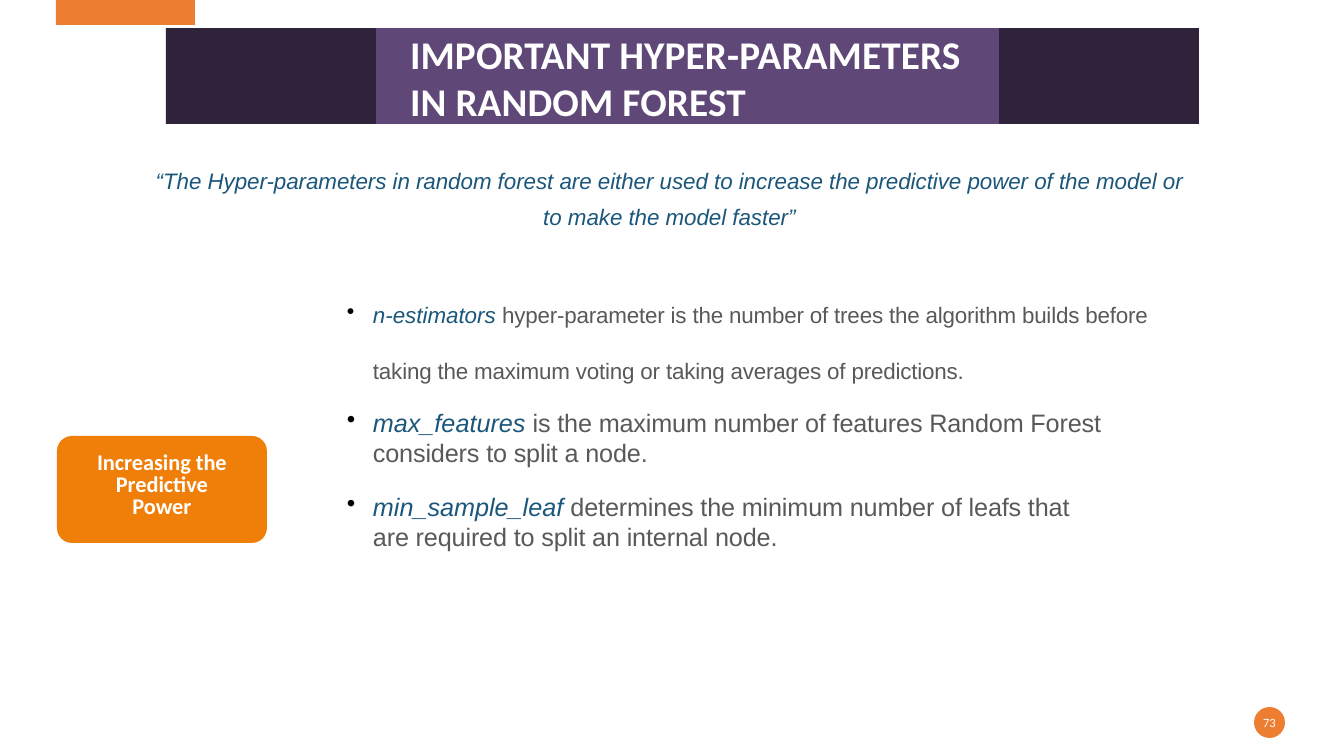
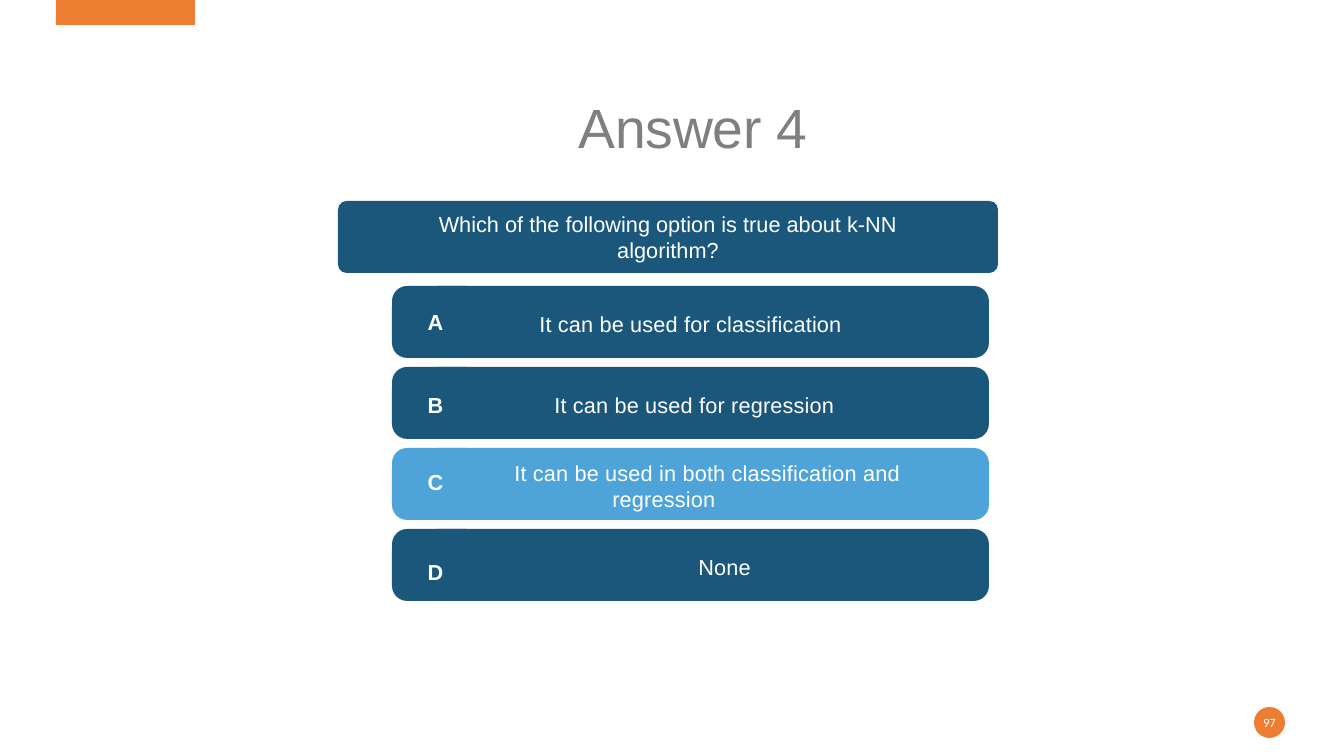
from lxml import etree
from pptx import Presentation
from pptx.dml.color import RGBColor
from pptx.enum.shapes import MSO_SHAPE
from pptx.enum.text import MSO_ANCHOR, PP_ALIGN
from pptx.oxml.ns import qn
from pptx.util import Emu, Pt

RECT, ROUND, OVAL = MSO_SHAPE.RECTANGLE, MSO_SHAPE.ROUNDED_RECTANGLE, MSO_SHAPE.OVAL
LEFT, CENTER = PP_ALIGN.LEFT, PP_ALIGN.CENTER
TOP, MIDDLE, BOTTOM = MSO_ANCHOR.TOP, MSO_ANCHOR.MIDDLE, MSO_ANCHOR.BOTTOM

SLIDE_W, SLIDE_H = 1344, 756
SCALE = 12192000 / SLIDE_W

ORANGE, AMBER = "ED7D31", "F07F09"
PLUM, PURPLE = "2F233B", "5F4778"
NAVY, SKY = "1B577B", "4EA4D8"
WHITE, BLACK, GREY, BODY_GREY = "FFFFFF", "000000", "7F7F7F", "595959"

PAGE_NUMBER = dict(name="Calibri", size=Pt(9), color=WHITE)
BANNER = dict(name="Calibri", size=Pt(28), bold=True, color=WHITE, spacing=15)
BADGE = dict(name="Calibri", size=Pt(16), bold=True, color=WHITE, spacing=-3)
QUOTE = dict(name="Arial", size=Pt(16), italic=True, color=NAVY, spacing=-4)
HEADING = dict(name="Arial", size=Pt(39.5), color=GREY, spacing=-25)
QUIZ = dict(name="Arial", size=Pt(15.5), color=WHITE, spacing=3)
OPTION = {**QUIZ, "spacing": 13}
LETTER = {**OPTION, "bold": True}


def px(length):
    """Turn a length in px into EMU."""
    return Emu(round(length * SCALE))


def rgb(value):
    """Turn a hex string into a colour."""
    return RGBColor.from_string(value)


def add_run(paragraph, text, style):
    """Add styled text, breaking lines at newlines."""
    for index, line in enumerate(text.split("\n")):
        if index:
            paragraph.add_line_break()
        run = paragraph.add_run()
        run.text = line
        for key, value in style.items():
            if key == "color":
                run.font.color.rgb = rgb(value)
            elif key == "spacing":
                run._r.get_or_add_rPr().set("spc", str(value))
            else:
                setattr(run.font, key, value)


def indent(paragraph, margin, first=0, bullet=None):
    """Indent a paragraph and give it an optional bullet."""
    props = paragraph._p.get_or_add_pPr()
    props.set("marL", str(px(margin)))
    props.set("indent", str(px(first)))
    if bullet:
        color = etree.SubElement(props, qn("a:buClr"))
        etree.SubElement(color, qn("a:srgbClr")).set("val", BLACK)
        etree.SubElement(props, qn("a:buChar")).set("char", bullet)


def write(shape, paragraphs, insets=(0, 0, 0, 0), anchor=MIDDLE, wrap=True):
    """Fill a shape with paragraphs of (runs, format, indents)."""
    frame = shape.text_frame
    sides = ("margin_left", "margin_top", "margin_right", "margin_bottom")
    settings = dict(zip(sides, map(px, insets)), word_wrap=wrap, vertical_anchor=anchor)
    for key, value in settings.items():
        setattr(frame, key, value)
    for index, (runs, layout, indents) in enumerate(paragraphs):
        paragraph = frame.add_paragraph() if index else frame.paragraphs[0]
        if indents:
            indent(paragraph, *indents)
        for key, value in layout.items():
            setattr(paragraph, key, value)
        for text, style in runs:
            add_run(paragraph, text, style)


def line_of(text, style, align=CENTER, indents=None, **layout):
    """Describe a paragraph in one style."""
    return [(text, style)], dict(alignment=align, **layout), indents


def block(slide, kind, box, fill, radius=0):
    """Draw a plain filled shape."""
    shape = slide.shapes.add_shape(kind, *map(px, box))
    shape.shadow.inherit = False
    shape.fill.solid()
    shape.fill.fore_color.rgb = rgb(fill)
    shape.line.fill.background()
    if radius:
        shape.adjustments[0] = round(radius / min(box[2:]), 2)
    return shape


def text_box(slide, box, paragraphs, wrap=True):
    """Place a text box with the usual margins."""
    shape = slide.shapes.add_textbox(*map(px, box))
    write(shape, paragraphs, (10, 5, 10, 5), TOP, wrap)


def new_slide(deck, number):
    """Add a slide with the corner tab and page number."""
    slide = deck.slides.add_slide(deck.slide_layouts[6])
    block(slide, RECT, (56, 0, 139, 25), ORANGE)
    disc = block(slide, OVAL, (1254, 707, 31, 31), ORANGE)
    write(disc, [line_of(number, PAGE_NUMBER)], wrap=False)
    return slide


def title_banner(slide, box, title):
    """Draw a dark band with a lighter title panel."""
    left, top, width, height = box
    block(slide, RECT, box, PLUM)
    panel = block(slide, RECT, (left + 210, top, width - 410, height), PURPLE)
    write(panel, [line_of(title, BANNER, LEFT)], (34, 1, 0, 0), BOTTOM)


def parameter_list(slide, box, parameters):
    """List parameters, each a bullet at its own offset."""
    left, top, width, _ = box
    for offset, narrower, height, size, term, meaning, continuation in parameters:
        term_style = dict(name="Arial", size=Pt(size), italic=True, color=NAVY)
        meaning_style = {**term_style, "italic": False, "color": BODY_GREY, "spacing": -11}
        runs = [(term, term_style), (meaning, meaning_style)]
        paragraphs = [(runs, dict(alignment=LEFT), (27, -26, "•"))]
        if continuation:
            paragraphs.append(line_of(continuation, meaning_style, LEFT, (27,),
                                      space_before=Pt(21)))
        text_box(slide, (left, top + offset, width - narrower, height), paragraphs)


def answer_option(slide, box, option):
    """Draw one answer bar with its letter tile."""
    letter, drop, answer, inset, hanging, fill = option
    left, top, width, height = box
    bar = block(slide, ROUND, (left + 31, top, width - 31, height), fill, 15)
    write(bar, [line_of(answer, OPTION, LEFT, (hanging, -hanging))], (inset, 3, 0, 0))
    tile = block(slide, ROUND, (left, top, 89, height), fill, 15)
    write(tile, [line_of(letter, LETTER)], (0, 20 + drop, 2, 20 - drop))


def hyper_parameter_slide(deck):
    """Build the slide on random forest hyper-parameters."""
    slide = new_slide(deck, "73")
    title_banner(slide, (166, 28, 1033, 96),
                 "IMPORTANT HYPER-PARAMETERS\nIN RANDOM FOREST")
    text_box(slide, (87, 162, 1165, 75), [
        line_of("“The Hyper-parameters in random forest are either used to increase "
                "the predictive power of the model or", QUOTE),
        line_of("to make the model faster”", QUOTE, space_before=Pt(6.6)),
    ])
    parameter_list(slide, (336, 296, 863, 262), [
        (0, 0, 92, 16, "n-estimators ",
         "hyper-parameter is the number of trees the algorithm builds before",
         "taking the maximum voting or taking averages of predictions."),
        (106, 20, 75, 18, "max_features ",
         "is the maximum number of features Random Forest considers to split a node.", ""),
        (190, 89, 72, 18, "min_sample_leaf ",
         "determines the minimum number of leafs that are required to split "
         "an internal node.", ""),
    ])
    badge = block(slide, ROUND, (57, 436, 210, 107), AMBER, 15)
    write(badge, [line_of("Increasing the\nPredictive\nPower", BADGE,
                          line_spacing=Pt(15.8))], (0, 0, 0, 7))


def answer_slide(deck):
    """Build the quiz answer slide."""
    slide = new_slide(deck, "97")
    text_box(slide, (569, 88, 255, 78), [line_of("Answer 4", HEADING, LEFT)], wrap=False)
    question = block(slide, ROUND, (338, 201, 660, 72), NAVY, 9)
    write(question, [line_of("Which of the following option is true about k-NN\nalgorithm?",
                             QUIZ)])
    options = [
        ("A", 0, "It can be used for classification", 112, 0, NAVY),
        ("B", 2, "It can be used for regression", 127, 0, NAVY),
        ("C", -2, "It can be used in both classification and\nregression", 87, 98, SKY),
        ("D", 7, "None", 271, 0, NAVY),
    ]
    for row, option in enumerate(options):
        answer_option(slide, (392, 286 + 81 * row, 597, 72), option)


def main():
    """Build and save the deck."""
    deck = Presentation()
    deck.slide_width, deck.slide_height = px(SLIDE_W), px(SLIDE_H)
    hyper_parameter_slide(deck)
    answer_slide(deck)
    deck.save("out.pptx")


if __name__ == "__main__":
    main()
